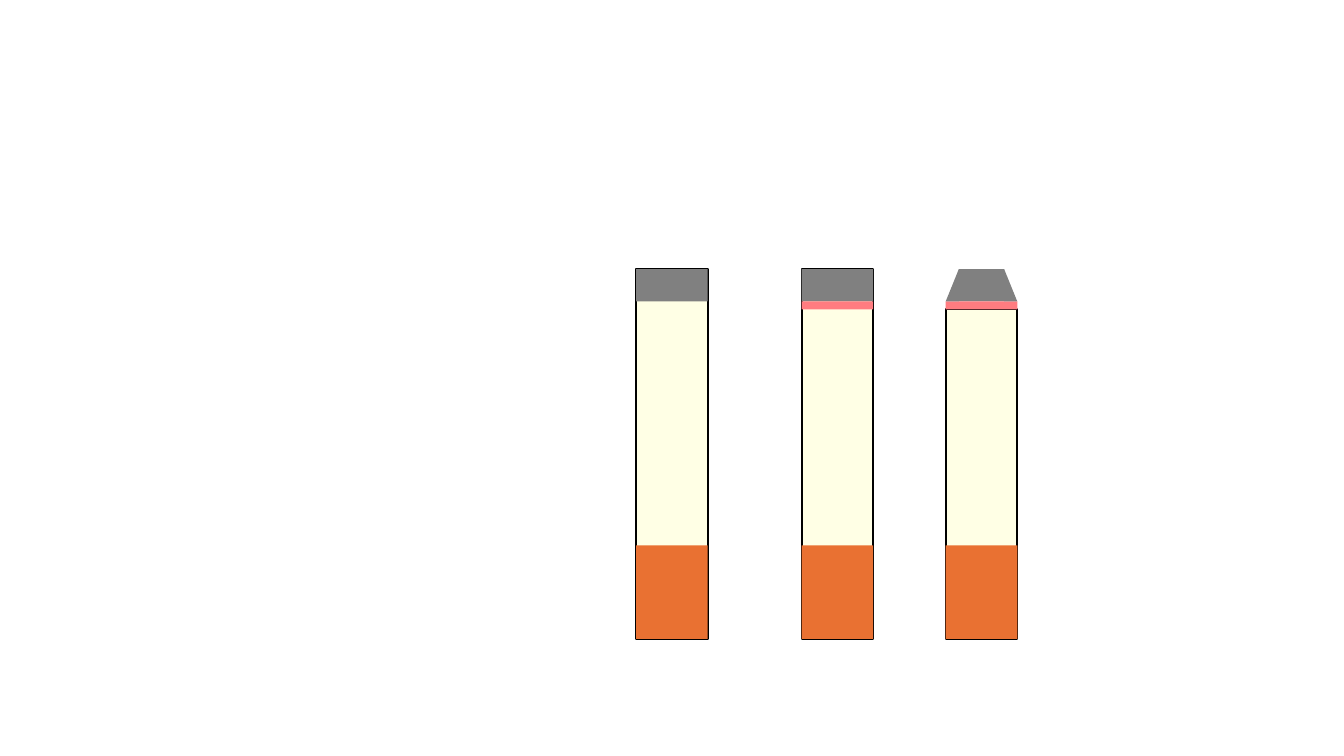
from pptx import Presentation
from pptx import util as u
from pptx.dml.color import RGBColor
from pptx.enum import shapes

PX = 9144
HUES = {"body": "FFFFE5", "base": "E97132", "cap": "808080", "band": "FF7C80", "edge": "000000"}
WIDE, TOP, FOOT = 71, 267, 634
CAP, BAND, BASE, SLANT = 32, 8, 93, 13


class Deck:
    def __init__(self, wide, high):
        self.prs = Presentation()
        self.prs.slide_width = u.Emu(wide * PX)
        self.prs.slide_height = u.Emu(high * PX)
        self.slide = self.prs.slides.add_slide(self.prs.slide_layouts[6])

    def shape(self, kind, x, y, w, h, hue):
        item = self.slide.shapes.add_shape(kind, *(u.Emu(n * PX) for n in (x, y, w, h)))
        item.shadow.inherit = False
        item.fill.solid()
        item.fill.fore_color.rgb = RGBColor.from_string(HUES[hue])
        item.line.fill.background()
        return item

    def rect(self, x, y, w, h, hue):
        return self.shape(shapes.MSO_SHAPE.RECTANGLE, x, y, w, h, hue)

    def frame(self, x, y, w, h, hue):
        item = self.rect(x, y, w, h, hue)
        item.line.color.rgb = RGBColor.from_string(HUES["edge"])
        item.line.width = u.Pt(1.5)

    def wedge(self, x, y, w, h, hue, peak):
        item = self.shape(shapes.MSO_SHAPE.ISOSCELES_TRIANGLE, x, y, w, h, hue)
        item.adjustments[0] = peak

    def column(self, x, band=False, taper=False):
        start = TOP + CAP + BAND if taper else TOP
        inset = SLANT if taper else 0
        self.frame(x, start, WIDE, FOOT - start, "body")
        self.rect(x, FOOT - BASE, WIDE, BASE, "base")
        self.rect(x + inset, TOP, WIDE - 2 * inset, CAP, "cap")
        if band:
            self.rect(x, TOP + CAP, WIDE, BAND, "band")
        if taper:
            self.wedge(x, TOP, SLANT, CAP, "cap", 1)
            self.wedge(x + WIDE - SLANT, TOP, SLANT, CAP, "cap", 0)


def main():
    deck = Deck(1333, 750)
    deck.column(631)
    deck.column(795, band=True)
    deck.column(938, band=True, taper=True)
    deck.prs.save("out.pptx")


if __name__ == "__main__":
    main()
